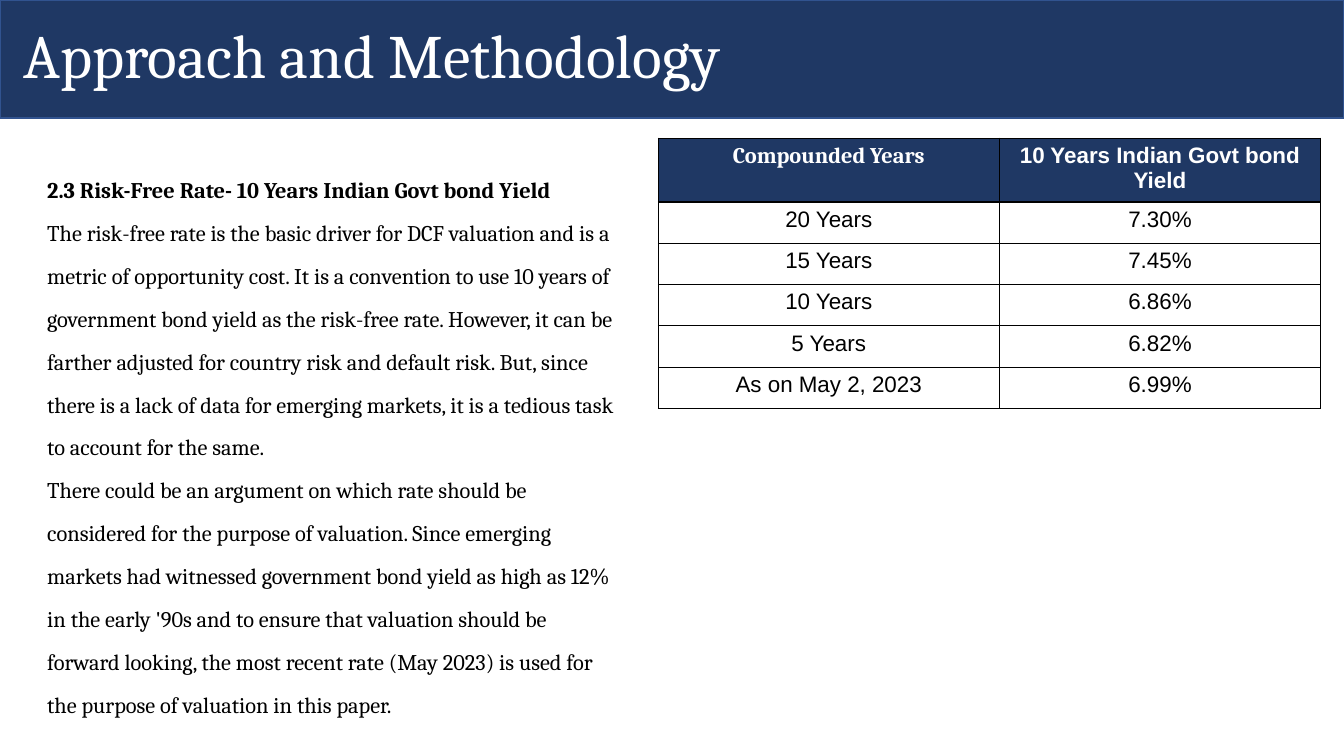
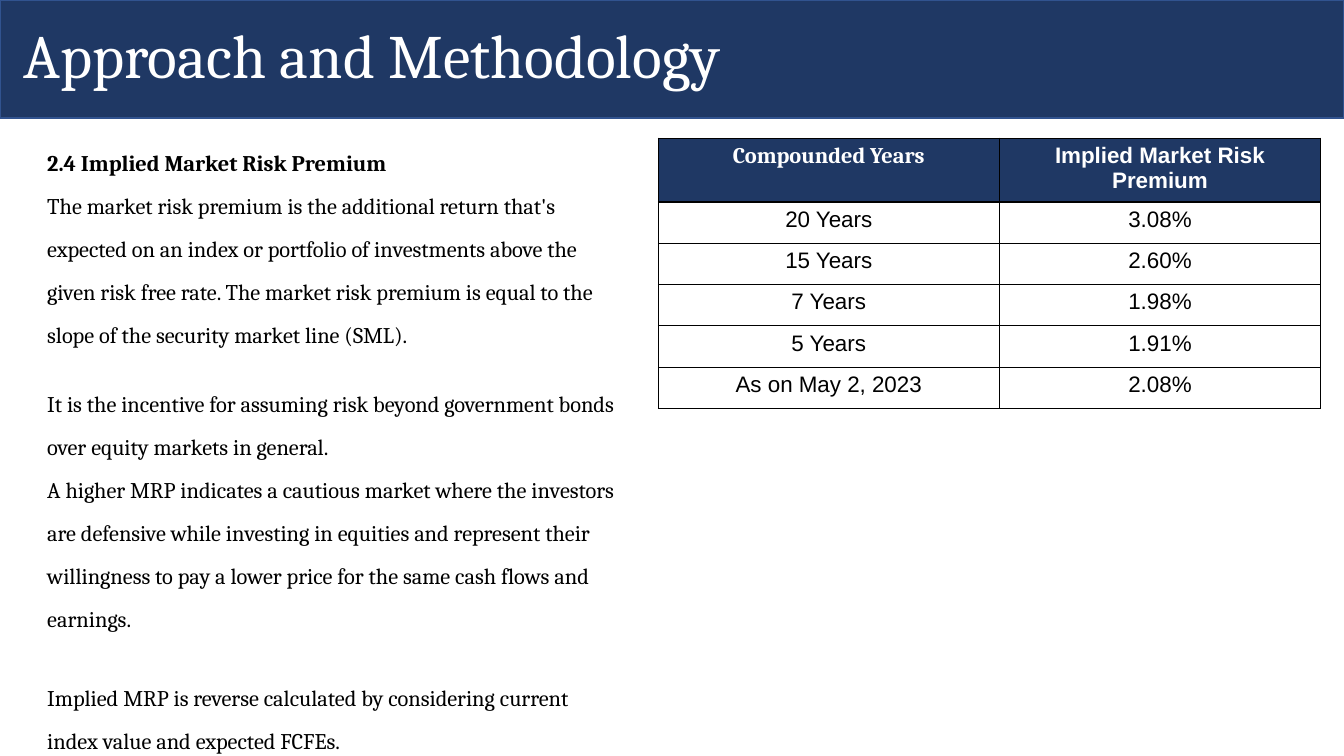
from lxml import etree
from pptx import Presentation
from pptx.dml.color import RGBColor
from pptx.enum.shapes import MSO_SHAPE
from pptx.enum.text import MSO_ANCHOR, MSO_AUTO_SIZE, PP_ALIGN
from pptx.oxml.ns import qn
from pptx.util import Inches, Pt

COLOURS = {"navy": "1F3864", "edge": "31538F", "white": "FFFFFF", "black": "000000"}
TITLE_FORMAT = {"name": "Cambria", "size": Pt(44), "bold": False}
BODY_FORMAT = {"name": "Cambria", "size": Pt(16), "bold": False}
HEADING_FORMAT = {**BODY_FORMAT, "bold": True}
CELL_FORMAT = {"name": "Arial", "size": Pt(16), "bold": False}
HEADER_FORMATS = [HEADING_FORMAT, {**CELL_FORMAT, "bold": True}]

# Boxes: left, top, width, height
BAND_BOX = (0, 0, 13.33, 1.17)
TITLE_BOX = (0, 0, 11.5, 1.17)
TABLE_BOX = (6.53, 1.37, 6.57, 2.68)
HEADER_HEIGHT = 0.63
FIRST_COLUMN_WIDTH = 3.38

# Each paragraph is (points of space before, text); each row is (period, rate)
SECTIONS = [
    {
        "box": (0.37, 1.29, 5.88, 6.13),
        "heading": "2.3 Risk-Free Rate- 10 Years Indian Govt bond Yield",
        "paragraphs": [
            (0, "The risk-free rate is the basic driver for DCF valuation and is a metric "
                "of opportunity cost. It is a convention to use 10 years of government bond "
                "yield as the risk-free rate. However, it can be farther adjusted for country "
                "risk and default risk. But, since there is a lack of data for emerging "
                "markets, it is a tedious task to account for the same."),
            (0, "There could be an argument on which rate should be considered for the "
                "purpose of valuation. Since emerging markets had witnessed government bond "
                "yield as high as 12% in the early '90s and to ensure that valuation should "
                "be forward looking, the most recent rate (May 2023) is used for the purpose "
                "of valuation in this paper."),
        ],
        "rates": [
            ("Compounded Years", "10 Years Indian Govt bond Yield"),
            ("20 Years", "7.30%"),
            ("15 Years", "7.45%"),
            ("10 Years", "6.86%"),
            ("5 Years", "6.82%"),
            ("As on May 2, 2023", "6.99%"),
        ],
    },
    {
        "box": (0.37, 1.2, 5.88, 6.4),
        "heading": "2.4 Implied Market Risk Premium",
        "paragraphs": [
            (0, "The market risk premium is the additional return that's expected on an "
                "index or portfolio of investments above the given risk free rate. The "
                "market risk premium is equal to the slope of the security market line (SML)."),
            (19, "It is the incentive for assuming risk beyond government bonds over equity "
                 "markets in general."),
            (0, "A higher MRP indicates a cautious market where the investors are defensive "
                "while investing in equities and represent their willingness to pay a lower "
                "price for the same cash flows and earnings."),
            (26, "Implied MRP is reverse calculated by considering current index value and "
                 "expected FCFEs."),
        ],
        "rates": [
            ("Compounded Years", "Implied Market Risk Premium"),
            ("20 Years", "3.08%"),
            ("15 Years", "2.60%"),
            ("7 Years", "1.98%"),
            ("5 Years", "1.91%"),
            ("As on May 2, 2023", "2.08%"),
        ],
    },
]


def rgb(colour):
    return RGBColor.from_string(COLOURS[colour])


def to_inches(box):
    return [Inches(length) for length in box]


def write(paragraph, text, font_format, colour, align=PP_ALIGN.LEFT):
    run = paragraph.add_run()
    run.text = text
    paragraph.alignment = align
    for attribute, value in font_format.items():
        setattr(run.font, attribute, value)
    run.font.color.rgb = rgb(colour)


def add_title_band(slide, band_box, title_box, text):
    band = slide.shapes.add_shape(MSO_SHAPE.RECTANGLE, *to_inches(band_box))
    band.shadow.inherit = False
    band.fill.solid()
    band.fill.fore_color.rgb = rgb("navy")
    band.line.color.rgb = rgb("edge")
    band.line.width = Pt(1)

    # The title sits in front of the band
    title = slide.shapes.title
    band.element.addnext(title.element)
    title.left, title.top, title.width, title.height = to_inches(title_box)
    frame = title.text_frame
    frame.auto_size = MSO_AUTO_SIZE.NONE
    frame.vertical_anchor = MSO_ANCHOR.MIDDLE
    frame.margin_left = Inches(0.23)
    frame.paragraphs[0].line_spacing = 0.9
    write(frame.paragraphs[0], text, TITLE_FORMAT, "white")


def add_explanation(slide, box, heading, paragraphs):
    frame = slide.shapes.add_textbox(*to_inches(box)).text_frame
    frame.word_wrap = True
    frame.vertical_anchor = MSO_ANCHOR.MIDDLE
    write(frame.paragraphs[0], heading, HEADING_FORMAT, "black")
    for gap, text in paragraphs:
        paragraph = frame.add_paragraph()
        paragraph.space_before = Pt(gap)
        write(paragraph, text, BODY_FORMAT, "black")
    for paragraph in frame.paragraphs:
        paragraph.line_spacing = 1.6


def add_borders(cell):
    properties = cell._tc.get_or_add_tcPr()
    for side in ("a:lnL", "a:lnR", "a:lnT", "a:lnB"):
        border = etree.SubElement(properties, qn(side), w=str(Pt(1)))
        fill = etree.SubElement(border, qn("a:solidFill"))
        etree.SubElement(fill, qn("a:srgbClr"), val=COLOURS["black"])


def add_rate_table(slide, box, rates):
    table = slide.shapes.add_table(len(rates), 2, *to_inches(box)).table
    table.horz_banding = False
    width, height = box[2:]
    table.columns[0].width = Inches(FIRST_COLUMN_WIDTH)
    table.columns[1].width = Inches(width - FIRST_COLUMN_WIDTH)
    row_height = (height - HEADER_HEIGHT) / (len(rates) - 1)

    for row, texts in enumerate(rates):
        is_header = row == 0
        table.rows[row].height = Inches(HEADER_HEIGHT if is_header else row_height)
        for column, text in enumerate(texts):
            cell = table.cell(row, column)
            add_borders(cell)
            if is_header:
                cell.fill.solid()
                cell.fill.fore_color.rgb = rgb("navy")
            else:
                cell.fill.background()
            write(
                cell.text_frame.paragraphs[0],
                text,
                HEADER_FORMATS[column] if is_header else CELL_FORMAT,
                "white" if is_header else "black",
                PP_ALIGN.CENTER,
            )


def add_section_slide(deck, section):
    slide = deck.slides.add_slide(deck.slide_layouts.get_by_name("Title Only"))
    add_title_band(slide, BAND_BOX, TITLE_BOX, "Approach and Methodology")
    add_explanation(slide, section["box"], section["heading"], section["paragraphs"])
    add_rate_table(slide, TABLE_BOX, section["rates"])


def main():
    deck = Presentation()
    deck.slide_width, deck.slide_height = Inches(13.33), Inches(7.5)
    for section in SECTIONS:
        add_section_slide(deck, section)
    deck.save("out.pptx")


if __name__ == "__main__":
    main()
